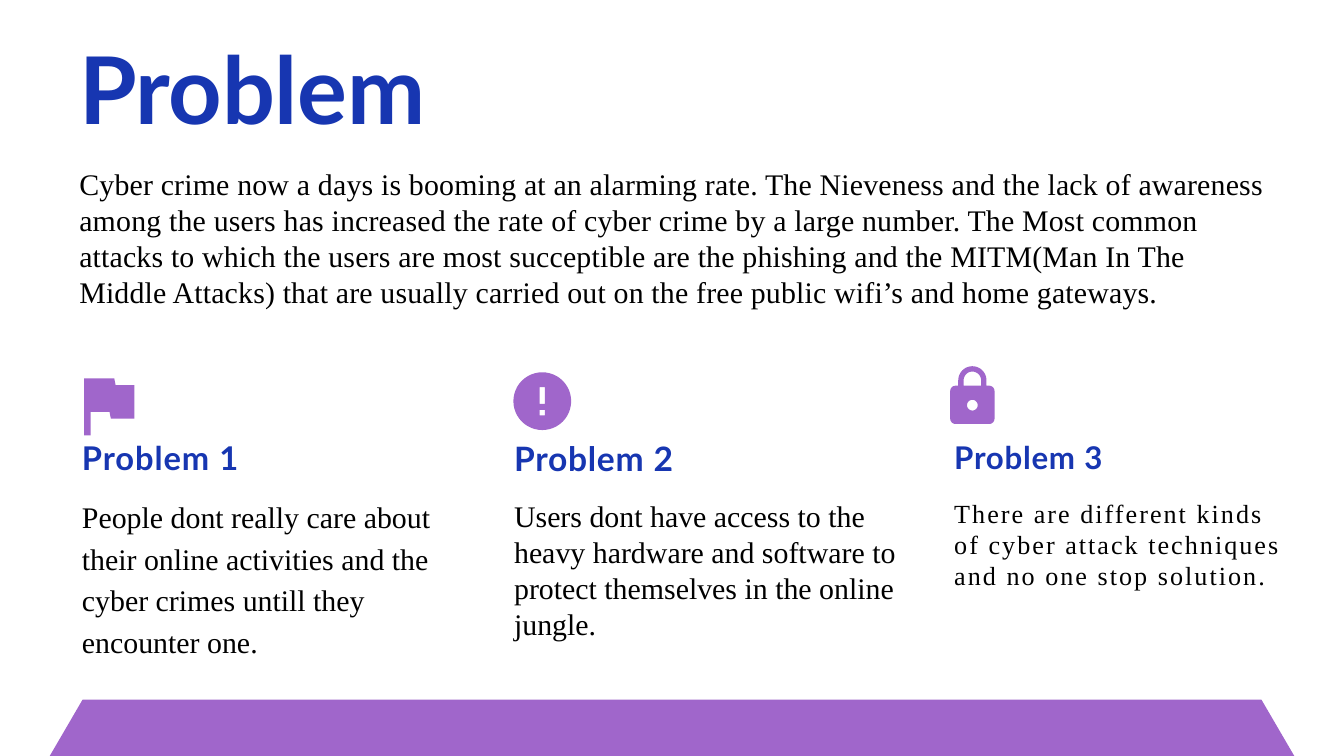
from math import cos, pi, sin

from pptx import Presentation
from pptx.dml.color import RGBColor
from pptx.enum import text
from pptx.util import Inches, Pt

COLORS = {"heading": "1736B1", "body": "000000", "accent": "A066CB"}
HEADING = {"name": "Lato", "bold": True}
BODY = {"name": "Times New Roman", "bold": False}

INTRO = (
    "Cyber crime now a days is booming at an alarming rate. The Nieveness and the "
    "lack of awareness among the users has increased the rate of cyber crime by a "
    "large number. The Most common attacks to which the users are most succeptible "
    "are the phishing and the MITM(Man In The Middle Attacks) that are usually "
    "carried out on the free public wifi’s and home gateways."
)


def add_run(paragraph, words, style, color, size, spacing):
    run = paragraph.add_run()
    run.text = words
    for attribute, value in {**style, "size": Pt(size)}.items():
        setattr(run.font, attribute, value)
    run.font.color.rgb = RGBColor.from_string(COLORS[color])
    run.font._element.set("spc", str(round(spacing * 100)))


def format_frame(frame, top_inset):
    settings = {
        "margin_left": 0, "margin_top": Inches(top_inset),
        "margin_right": 0, "margin_bottom": 0, "word_wrap": True,
        "vertical_anchor": text.MSO_ANCHOR.TOP,
        "auto_size": text.MSO_AUTO_SIZE.SHAPE_TO_FIT_TEXT,
    }
    for attribute, value in settings.items():
        setattr(frame, attribute, value)


def format_paragraph(paragraph, space_before=0, line_spacing=1.0):
    paragraph._p.get_or_add_pPr().set("marL", str(Inches(0.01)))
    settings = {
        "alignment": text.PP_ALIGN.LEFT, "space_before": Pt(space_before),
        "space_after": Pt(0), "line_spacing": line_spacing,
    }
    for attribute, value in settings.items():
        setattr(paragraph, attribute, value)


def place(shape, box):
    for attribute, value in zip(("left", "top", "width", "height"), box):
        setattr(shape, attribute, Inches(value))


def add_outline(slide, box, contours):
    """Draw closed contours, given relative to the box; inner ones become holes."""
    left, top = box
    placed = [[(Inches(left + x), Inches(top + y)) for x, y in contour]
              for contour in contours]
    builder = slide.shapes.build_freeform(*placed[0][0], scale=1.0)
    for number, points in enumerate(placed):
        if number:
            builder.move_to(*points[0])
        builder.add_line_segments(points[1:], close=True)
    shape = builder.convert_to_shape()
    shape.shadow.inherit = False
    shape.fill.solid()
    shape.fill.fore_color.rgb = RGBColor.from_string(COLORS["accent"])
    shape.line.fill.background()


def arc(x, y, radius, start=0, end=360, steps=24):
    angles = [(start + (end - start) * i / steps) * pi / 180 for i in range(steps + 1)]
    return [(x + radius * cos(a), y + radius * sin(a)) for a in angles]


def rectangle(left, top, right, bottom):
    return [(left, top), (right, top), (right, bottom), (left, bottom)]


def rounded(left, top, right, bottom, radius):
    corners = [(right - radius, bottom - radius, 0), (left + radius, bottom - radius, 90),
               (left + radius, top + radius, 180), (right - radius, top + radius, 270)]
    return [point for x, y, start in corners
            for point in arc(x, y, radius, start, start + 90, 6)]


def add_flag(slide, box):
    add_outline(slide, box, [[
        (0.1, 0.85), (0, 0.85), (0, 0), (0.45, 0), (0.47, 0.1), (0.75, 0.1),
        (0.75, 0.6), (0.4, 0.6), (0.38, 0.5), (0.1, 0.5)]])


def add_alert(slide, box):
    add_outline(slide, box, [
        arc(0.43, 0.43, 0.43, steps=48),
        rectangle(0.39, 0.22, 0.47, 0.47), rectangle(0.39, 0.56, 0.47, 0.64)])


def add_lock(slide, box):
    shackle = ([(0.12, 0.28)] + arc(0.33, 0.2, 0.21, 180, 360) + [(0.54, 0.28), (0.46, 0.28)]
               + arc(0.33, 0.2, 0.13, 360, 180) + [(0.2, 0.28)])
    add_outline(slide, box, [
        shackle, rounded(0, 0.28, 0.66, 0.85, 0.08), arc(0.33, 0.57, 0.08)])


def add_introduction(slide, box):
    title = slide.shapes.title
    place(title, box)
    frame = title.text_frame
    format_frame(frame, 0.01)
    heading, introduction = frame.paragraphs[0], frame.add_paragraph()
    format_paragraph(heading)
    add_run(heading, "Problem", HEADING, "heading", 100, -0.4)
    format_paragraph(introduction, 23.8)
    add_run(introduction, INTRO, BODY, "body", 32, 0.2)


def add_problem(slide, box, number, words, top_inset, heading_size, heading_spacing,
                number_spacing, body_size, body_spacing, gap, line_spacing=1.0):
    column = slide.shapes.add_textbox(*map(Inches, box))
    frame = column.text_frame
    format_frame(frame, top_inset)
    heading, description = frame.paragraphs[0], frame.add_paragraph()
    format_paragraph(heading)
    add_run(heading, "Problem ", HEADING, "heading", heading_size, heading_spacing)
    add_run(heading, str(number), HEADING, "heading", heading_size, number_spacing)
    format_paragraph(description, gap, line_spacing)
    add_run(description, words, BODY, "body", body_size, body_spacing)


def add_footer(slide, box):
    left, top, width, height = box
    slant = 0.49
    add_outline(slide, (left, top), [[
        (width, height), (0, height), (slant, 0), (width - slant, 0)]])


def main():
    presentation = Presentation()
    presentation.slide_width, presentation.slide_height = Inches(20), Inches(11.25)
    slide = presentation.slides.add_slide(presentation.slide_layouts[5])

    # Title and introduction
    add_introduction(slide, (1.17, 0.46, 17.87, 4.18))

    # Three problems
    add_problem(slide, (1.21, 6.18, 5.9, 3.66), 1,
                "People dont really care about their online activities and the cyber "
                "crimes untill they encounter one.",
                0.34, 35, 1, -4, 32, 0, 16.9, 1.16)
    add_problem(slide, (7.64, 6.21, 6.08, 3.36), 2,
                "Users dont have access to the heavy hardware and software to protect "
                "themselves in the online jungle.",
                0.3, 36, 0.8, -2.2, 32, 0, 21.3)
    add_problem(slide, (14.19, 6.21, 4.89, 3.08), 3,
                "There are different kinds of cyber attack techniques and no one stop "
                "solution.",
                0.31, 33.5, 0.8, -2, 28, 2.2, 22.9)

    # Icons above the problems
    add_alert(slide, (7.64, 5.54))
    add_flag(slide, (1.25, 5.63))
    add_lock(slide, (14.14, 5.46))

    # Footer band
    add_footer(slide, (0.74, 10.41, 18.52, 0.84))

    presentation.save("out.pptx")


if __name__ == "__main__":
    main()
